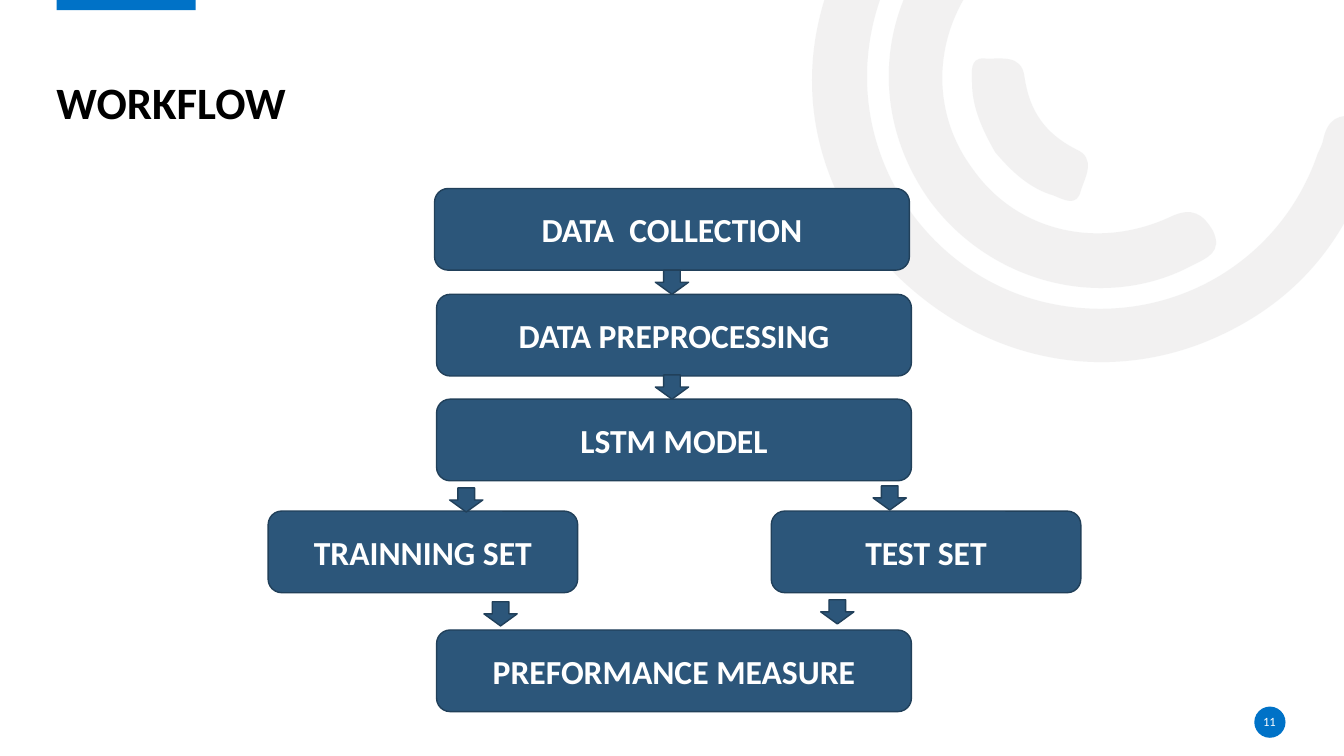
from dataclasses import dataclass
from math import cos, radians, sin

from lxml import etree
from pptx import Presentation
from pptx.dml.color import RGBColor
from pptx.enum.shapes import MSO_SHAPE
from pptx.enum.text import MSO_ANCHOR, PP_ALIGN
from pptx.oxml.ns import qn
from pptx.util import Inches, Pt

RECT, OVAL = MSO_SHAPE.RECTANGLE, MSO_SHAPE.OVAL
ROUND, DOWN = MSO_SHAPE.ROUNDED_RECTANGLE, MSO_SHAPE.DOWN_ARROW
MID, LOW = MSO_ANCHOR.MIDDLE, MSO_ANCHOR.BOTTOM
LEFT, MIDDLE = PP_ALIGN.LEFT, PP_ALIGN.CENTER


@dataclass(frozen=True)
class Theme:
    font: str = "Calibri"
    accent: str = "0072C7"
    step: str = "2C567A"
    edge: str = "21405A"
    ring: str = "E7E6E6"
    ink: str = "000000"
    white: str = "FFFFFF"
    title: int = 32
    label: int = 24
    small: int = 9


THEME = Theme()
CELL = 0.1  # grid cell in inches
TURN = 144.2  # tilt of the rings in degrees

# Ring outlines: a start point, then cubic curves of three points each
RINGS = [
    [8.51, 2.29,
     7.99, 1.49, 7.87, 0.5, 8.38, -0.5,
     8.9, -1.52, 9.76, -2.03, 10.9, -2.07,
     11.05, -2.07, 11.21, -2.1, 11.31, -1.95,
     11.44, -1.75, 11.27, -1.54, 10.98, -1.54,
     9.67, -1.54, 8.65, -0.59, 8.6, 0.68,
     8.56, 1.81, 9.36, 2.81, 10.46, 3.02,
     11.6, 3.24, 12.7, 2.61, 13.07, 1.52,
     13.09, 1.48, 13.11, 1.44, 13.12, 1.4,
     13.16, 1.19, 13.27, 1.11, 13.49, 1.17,
     13.73, 1.24, 13.67, 1.41, 13.61, 1.56,
     13.34, 2.45, 12.78, 3.07, 11.91, 3.41,
     10.7, 3.87, 9.36, 3.45, 8.51, 2.29],
    [9.22, 1.99,
     8.62, 1.15, 8.69, 0.07, 9.4, -0.68,
     9.51, -0.79, 9.62, -0.95, 9.8, -0.78,
     9.95, -0.64, 9.97, -0.5, 9.79, -0.32,
     9.25, 0.26, 9.2, 1.08, 9.65, 1.68,
     10.08, 2.29, 10.88, 2.49, 11.61, 2.15,
     11.82, 2.05, 11.93, 2.12, 12.03, 2.29,
     12.13, 2.5, 11.97, 2.56, 11.83, 2.63,
     10.96, 3.1, 9.83, 2.82, 9.22, 1.99],
    [9.87, 1.51,
     9.75, 1.3, 9.64, 1.07, 9.64, 0.82,
     9.64, 0.73, 9.61, 0.57, 9.76, 0.58,
     9.92, 0.59, 10.13, 0.53, 10.16, 0.76,
     10.21, 1.1, 10.36, 1.32, 10.67, 1.48,
     10.88, 1.57, 10.76, 1.76, 10.72, 1.89,
     10.68, 2.06, 10.55, 1.98, 10.45, 1.94,
     10.21, 1.87, 10.03, 1.7, 9.87, 1.51],
]

# Flow chart in grid cells: column, row, width, text
WIDE, HALF, TALL = 47.1, 30.7, 8.1
STEPS = [
    (16.5, 0, WIDE, "DATA  COLLECTION"),
    (16.7, 10.5, WIDE, "DATA PREPROCESSING"),
    (16.7, 20.9, WIDE, "LSTM MODEL"),
    (0, 32, HALF, "TRAINNING SET"),
    (49.9, 32, HALF, "TEST SET"),
    (16.7, 43.8, WIDE, "PREFORMANCE MEASURE"),
]
ARROWS = [(38.4, 8.1), (38.4, 18.5), (18, 29.7), (60, 29.5),
          (54.8, 40.8), (21.4, 41)]


def place(box, col, row, wide, tall):
    """Turn grid cells inside a box into slide lengths."""
    left, top = box
    return [Inches(n) for n in (left + col * CELL, top + row * CELL,
                                wide * CELL, tall * CELL)]


def paint(shape, fill, edge=None):
    shape.shadow.inherit = False
    shape.fill.solid()
    shape.fill.fore_color.rgb = RGBColor.from_string(fill)
    if edge:
        shape.line.color.rgb = RGBColor.from_string(edge)
        shape.line.width = Pt(1)
    else:
        shape.line.fill.background()


def write(shape, text, size, color, bold=False, align=MIDDLE, anchor=MID):
    frame = shape.text_frame
    frame.word_wrap = True
    frame.vertical_anchor = anchor
    para = frame.paragraphs[0]
    para.text, para.alignment = text, align
    font = para.font
    font.name, font.size, font.bold = THEME.font, Pt(size), bold
    font.color.rgb = RGBColor.from_string(color)
    return para


def strip(shape):
    frame = shape.text_frame
    frame.margin_left = frame.margin_right = 0
    frame.margin_top = frame.margin_bottom = 0


def spin(x, y, angle):
    """Turn a point about the slide's corner."""
    c, s = cos(radians(angle)), sin(radians(angle))
    return round(x * c - y * s), round(x * s + y * c)


def curve(shape):
    """Join each three line segments into one cubic curve."""
    lines = list(shape._element.iter(qn("a:lnTo")))
    for i in range(0, len(lines), 3):
        bend = etree.Element(qn("a:cubicBezTo"))
        lines[i].addprevious(bend)
        for line in lines[i:i + 3]:
            bend.append(line[0])
            line.getparent().remove(line)


def draw_rings(slide, box):
    left, top = box
    for nums in RINGS:
        # Lay the outline flat, then tilt the finished shape
        spots = [spin(Inches(left + x), Inches(top + y), -TURN)
                 for x, y in zip(nums[::2], nums[1::2])]
        pen = slide.shapes.build_freeform(*spots[0])
        pen.add_line_segments(spots[1:])
        ring = pen.convert_to_shape()
        curve(ring)
        x, y = spin(ring.left + ring.width / 2,
                    ring.top + ring.height / 2, TURN)
        ring.left = round(x - ring.width / 2)
        ring.top = round(y - ring.height / 2)
        ring.rotation = TURN
        paint(ring, THEME.ring)
        tint = ring._element.spPr.find(".//" + qn("a:srgbClr"))
        etree.SubElement(tint, qn("a:alpha")).set("val", "53000")


def draw_head(slide, box):
    tab = slide.shapes.add_shape(RECT, *place(box, 0, -0.2, 13.8, 1.2))
    tab.rotation = 180
    paint(tab, THEME.accent)
    title = slide.shapes.add_textbox(*place(box, 0, 2.7, 121.9, 10.1))
    strip(title)
    para = write(title, "WORKFLOW", THEME.title, THEME.ink, True, LEFT, LOW)
    para.line_spacing = 0.9


def draw_page(slide, box):
    dot = slide.shapes.add_shape(OVAL, *place(box, 0, 0, 3.1, 3.1))
    paint(dot, THEME.accent)
    label = slide.shapes.add_textbox(*place(box, -0.1, 0.5, 3.2, 2))
    strip(label)
    write(label, "11", THEME.small, THEME.white)


def draw_flow(slide, box):
    for col, row, wide, text in STEPS:
        step = slide.shapes.add_shape(ROUND, *place(box, col, row, wide, TALL))
        paint(step, THEME.step, THEME.edge)
        write(step, text, THEME.label, THEME.white, True)
    for col, row in ARROWS:
        arrow = slide.shapes.add_shape(DOWN, *place(box, col, row, 3.3, 2.4))
        paint(arrow, THEME.step, THEME.edge)


def main():
    deck = Presentation()
    deck.slide_width, deck.slide_height = Inches(13.33), Inches(7.5)
    slide = deck.slides.add_slide(deck.slide_layouts[6])
    draw_rings(slide, (0, 0))
    draw_head(slide, (0.56, 0))
    draw_page(slide, (12.44, 7.01))
    draw_flow(slide, (2.66, 1.87))
    deck.save("out.pptx")


if __name__ == "__main__":
    main()
